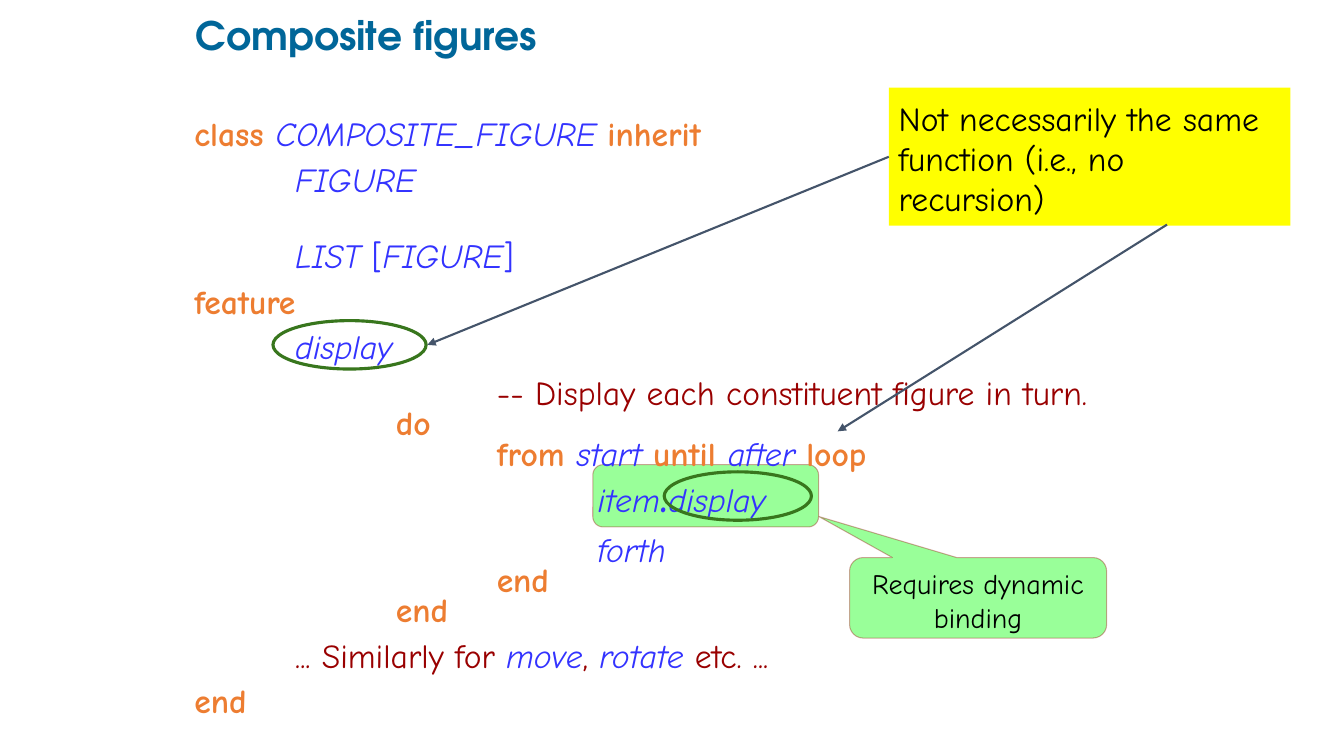
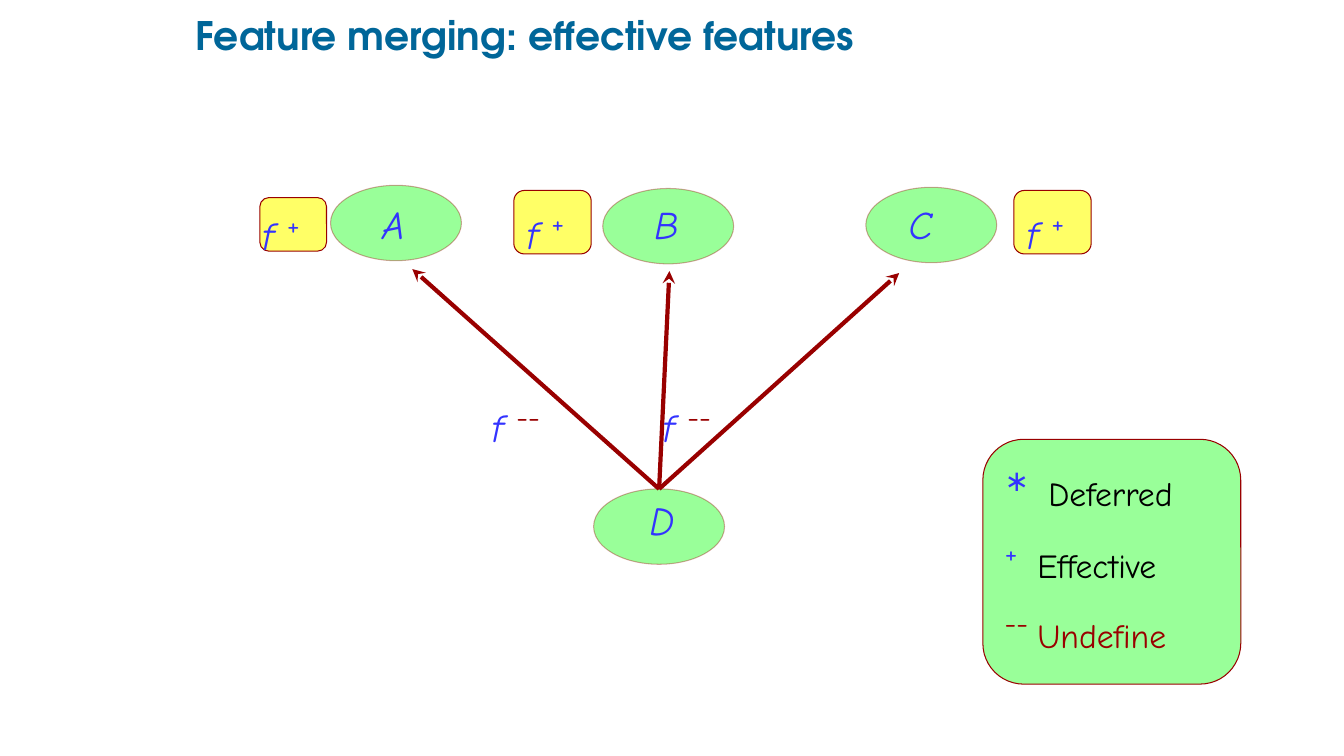
from dataclasses import dataclass

from lxml import etree
from pptx import Presentation
from pptx.dml.color import RGBColor
from pptx.enum.shapes import MSO_CONNECTOR, MSO_SHAPE
from pptx.enum.text import MSO_ANCHOR, PP_ALIGN
from pptx.oxml.ns import qn
from pptx.util import Cm, Pt

RECT = MSO_SHAPE.RECTANGLE
ROUND = MSO_SHAPE.ROUNDED_RECTANGLE
OVAL = MSO_SHAPE.OVAL
CALLOUT = MSO_SHAPE.ROUNDED_RECTANGULAR_CALLOUT
STRAIGHT = MSO_CONNECTOR.STRAIGHT
TOP, MIDDLE = MSO_ANCHOR.TOP, MSO_ANCHOR.MIDDLE
LEFT, CENTER = PP_ALIGN.LEFT, PP_ALIGN.CENTER


@dataclass(frozen=True)
class Look:
    color: str
    size: int = 24
    bold: bool = False
    italic: bool = False
    lift: int = 0
    font: str = "Comic Neue"


class Theme:
    BLUE, RED, BLACK = "3333FF", "990000", "000000"
    ORANGE, TEAL, SLATE = "ED7D31", "006699", "44546A"
    GREEN, MOSS = "99FF99", "38761D"
    YELLOW, LEMON = "FFFF00", "FFFF66"
    HEAD = Look(TEAL, 28, bold=True, font="TeX Gyre Adventor")
    KEY = Look(ORANGE, bold=True)
    NAME = Look(BLUE, italic=True)
    SIGN = Look(BLUE)
    DOT = Look(BLUE, 40)
    NOTE = Look(RED)
    PLAIN = Look(BLACK)
    SMALL = Look(BLACK, 20)
    LETTER = Look(BLUE, 28, italic=True)
    STAR = Look(BLUE, 36, lift=30, font="Lato")
    PLUS = Look(BLUE, 36, lift=30)
    MINUS = Look(RED, 36, lift=30)


T = Theme


class Deck:
    """Hold the presentation, its style and the current slide."""

    def __init__(self):
        self.show = Presentation()
        self.show.slide_width, self.show.slide_height = Cm(33.87), Cm(19.05)
        self.slide = None

    def page(self, title, width):
        self.slide = self.show.slides.add_slide(self.show.slide_layouts[6])
        frame = self.text(4.93, 0.33, width, 1.22, pad=(0, 0), anchor=MIDDLE)
        self.say(frame, [(title, T.HEAD)], line=0.9)

    def style(self, font, look):
        font.name, font.size = look.font, Pt(look.size)
        font.bold, font.italic = look.bold, look.italic
        font.color.rgb = RGBColor.from_string(look.color)

    def setup(self, frame, pad, anchor):
        frame.word_wrap = True
        frame.vertical_anchor = anchor
        frame.margin_left = frame.margin_right = Cm(pad[0])
        frame.margin_top = frame.margin_bottom = Cm(pad[1])
        return frame

    def say(self, frame, runs, align=LEFT, line=1.0, before=0, indent=0, tab=0):
        para = frame.paragraphs[-1]
        if para.runs:
            para = frame.add_paragraph()
        para.alignment, para.line_spacing = align, line
        para.space_before = Pt(before)
        props = para._p.get_or_add_pPr()
        if indent:
            props.set("marL", str(Cm(indent)))
        if tab:
            stops = etree.SubElement(props, qn("a:tabLst"))
            etree.SubElement(stops, qn("a:tab"), pos=str(Cm(tab)), algn="l")
        same = len({look for _, look in runs}) == 1
        if same:
            self.style(para.font, runs[0][1])
        for words, look in runs:
            run = para.add_run()
            run.text = words
            if not same:
                self.style(run.font, look)
            if look.lift:
                run._r.get_or_add_rPr().set("baseline", str(look.lift * 1000))

    def text(self, x, y, w, h, pad=(0.25, 0.13), anchor=TOP):
        box = self.slide.shapes.add_textbox(Cm(x), Cm(y), Cm(w), Cm(h))
        return self.setup(box.text_frame, pad, anchor)

    def shape(self, kind, x, y, w, h, fill=None, line=None, width=0.75,
              alpha=0, pad=(0.25, 0.13)):
        item = self.slide.shapes.add_shape(kind, Cm(x), Cm(y), Cm(w), Cm(h))
        item.shadow.inherit = False
        if fill:
            item.fill.solid()
            item.fill.fore_color.rgb = RGBColor.from_string(fill)
        else:
            item.fill.background()
        if line:
            item.line.color.rgb = RGBColor.from_string(line)
            item.line.width = Pt(width)
        else:
            item.line.fill.background()
        if alpha:
            tint = item._element.spPr.find(".//" + qn("a:ln") + "//" + qn("a:srgbClr"))
            etree.SubElement(tint, qn("a:alpha"), val=str(alpha * 1000))
        self.setup(item.text_frame, pad, TOP)
        return item

    def soft(self, kind, x, y, w, h):
        return self.shape(kind, x, y, w, h, T.GREEN, T.RED, alpha=34)

    def ring(self, x, y, w):
        self.shape(OVAL, x, y, w, 1.22, line=T.MOSS, width=2.25)

    def arrow(self, start, end, color, width, head, base=None, site=0):
        ends = [Cm(v) for v in (*start, *end)]
        link = self.slide.shapes.add_connector(STRAIGHT, *ends)
        if base is not None:
            link.begin_connect(base, site)
        link.line.color.rgb = RGBColor.from_string(color)
        link.line.width = Pt(width)
        etree.SubElement(link.line._get_or_add_ln(), qn("a:tailEnd"), type=head)
        etree.SubElement(link._element.spPr, qn("a:effectLst"))

    def node(self, x, y, name, left, top):
        item = self.soft(OVAL, x, y, 3.3, 1.9)
        frame = self.text(left, top, 1.6, 1.45)
        self.say(frame, [(name, T.LETTER)], CENTER)
        return item

    def mark(self, box, sign, look, **kind):
        item = self.shape(ROUND, *box, **kind)
        self.say(item.text_frame, [("f ", T.LETTER), (sign, look)])


def figures(deck):
    deck.page("Composite figures", 22.07)
    call = deck.soft(CALLOUT, 21.41, 14.05, 6.48, 2.03)
    for i, value in enumerate((-0.62, -1.01, 0.17)):
        call.adjustments[i] = value
    deck.say(call.text_frame, [("Requires dynamic binding", T.SMALL)], CENTER)
    deck.soft(ROUND, 14.94, 11.71, 5.69, 1.57)

    code = [
        (0, 0, [("class ", T.KEY), ("COMPOSITE_FIGURE ", T.NAME), ("inherit", T.KEY)]),
        (1, 11, [("FIGURE", T.NAME)]),
        (1, 32.5, [("LIST ", T.NAME), ("[", T.SIGN), ("FIGURE", T.NAME), ("]", T.SIGN)]),
        (0, 11, [("feature", T.KEY)]),
        (1, 11, [("display", T.NAME)]),
        (3, 11, [("-- Display each constituent figure in turn.", T.NOTE)]),
        (2, 0, [("do", T.KEY)]),
        (3, 0, [("from ", T.KEY), ("start ", T.NAME), ("until ", T.KEY),
                ("after ", T.NAME), ("loop", T.KEY)]),
        (4, 0, [("item", T.NAME), (".", T.DOT), ("display", T.NAME)]),
        (4, 11, [("forth", T.NAME)]),
        (3, 0, [("end", T.KEY)]),
        (2, 0, [("end", T.KEY)]),
        (1, 11, [("... Similarly for ", T.NOTE), ("move", T.NAME), (", ", T.NOTE),
                 ("rotate", T.NAME), (" etc. ...", T.NOTE)]),
        (0, 11, [("end", T.KEY)]),
    ]
    frame = deck.text(4.65, 2.82, 24.59, 15.39)
    for i, (level, gap, runs) in enumerate(code):
        deck.say(frame, runs, line=0.75 if i else 0.9, before=gap, indent=level * 2.54)

    hint = deck.shape(RECT, 22.4, 2.21, 10.12, 3.48, T.YELLOW, pad=(0.25, 0.25))
    words = "Not necessarily the same function (i.e., no recursion)"
    deck.say(hint.text_frame, [(words, T.PLAIN)])
    deck.ring(6.88, 8.08, 3.86)
    deck.ring(16.74, 11.89, 3.71)
    deck.arrow((22.4, 3.95), (10.77, 8.69), T.SLATE, 1.5, "triangle", hint, 1)
    deck.arrow((29.41, 5.66), (21.11, 10.87), T.SLATE, 1.5, "triangle")


def merging(deck):
    deck.page("Feature merging: effective features", 23.83)
    heir = deck.node(14.96, 12.32, "D", 15.88, 12.37)
    for x, y, name, left, end in (
        (8.33, 4.67, "A", 9.12, (10.39, 6.78)),
        (15.19, 4.75, "B", 16, (16.87, 6.83)),
        (21.82, 4.72, "C", 22.4, (22.66, 6.88)),
    ):
        deck.node(x, y, name, left, 4.93)
        deck.arrow((16.61, 12.32), end, T.RED, 3, "stealth", heir)

    for box, pad in (
        ((6.55, 4.98, 1.68, 1.35), (0, 0)),
        ((12.95, 4.8, 1.95, 1.6), (0.25, 0.13)),
        ((25.55, 4.8, 1.95, 1.6), (0.25, 0.13)),
    ):
        deck.mark(box, "+", T.PLUS, fill=T.LEMON, line=T.RED, pad=pad)
    for x in (12.07, 16.38):
        deck.mark((x, 9.68, 2.49, 1.6), "--", T.MINUS)

    key = deck.shape(ROUND, 24.77, 11.07, 6.5, 6.17, T.GREEN, T.RED)
    for sign, look, word, tone, tab, line, gap in (
        ("∗", T.STAR, "Deferred", T.PLAIN, 1.1, 1.0, 0),
        ("+", T.PLUS, "Effective", T.PLAIN, 0.82, 0.75, 18),
        ("--", T.MINUS, "Undefine", T.NOTE, 0.82, 0.75, 18),
    ):
        runs = [(sign + "\t", look), (word, tone)]
        deck.say(key.text_frame, runs, line=line, before=gap, tab=tab)


def main():
    deck = Deck()
    figures(deck)
    merging(deck)
    deck.show.save("out.pptx")


if __name__ == "__main__":
    main()
